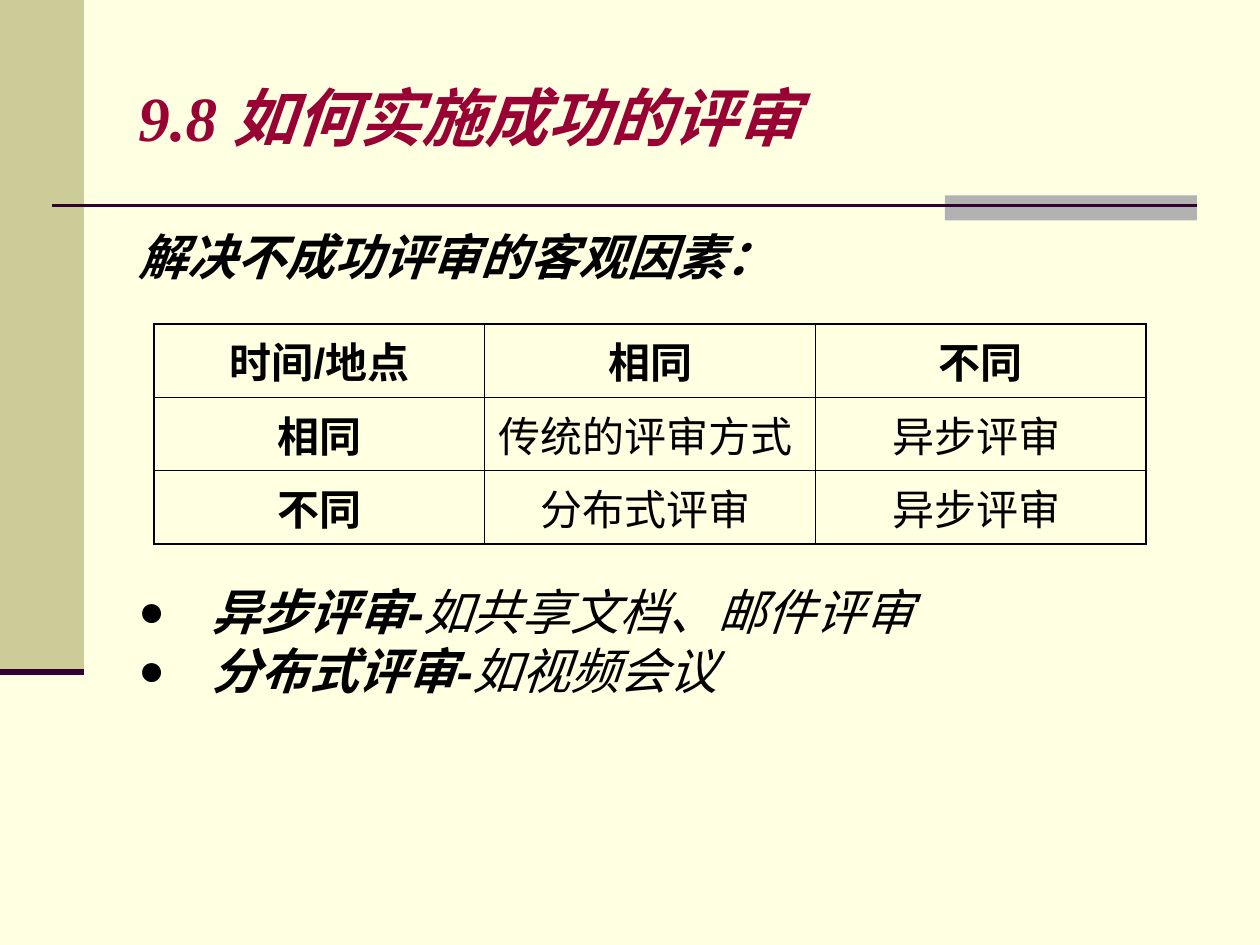
import pptx
import pptx.util
import pptx.dml.color
import pptx.enum.shapes
import pptx.enum.text
import pptx.oxml
import pptx.oxml.ns

Pt = pptx.util.Pt
RGB = pptx.dml.color.RGBColor.from_string
SHAPE = pptx.enum.shapes.MSO_SHAPE
ANCHOR = pptx.enum.text.MSO_ANCHOR
NS = pptx.oxml.ns.nsdecls("a")

HUES = {"back": "FFFFE1", "band": "CCCC99", "tab": "B2B2B2",
        "rule": "330033", "title": "990033", "text": "000000"}


def write(para, text, size, bold, slant=False, hue="text", face="Arial"):
    """Add one formatted run to a paragraph."""
    run = para.add_run()
    run.text = text
    run.font.size = Pt(size)
    run.font.bold = bold
    run.font.italic = slant
    run.font.name = face
    run.font.color.rgb = RGB(HUES[hue])


def frame(left, top, width, height):
    """Add a wrapping text box and return its text frame."""
    body = slide.shapes.add_textbox(Pt(left), Pt(top), Pt(width), Pt(height)).text_frame
    body.word_wrap = True
    return body


deck = pptx.Presentation()
deck.slide_width, deck.slide_height = Pt(720), Pt(540)
slide = deck.slides.add_slide(deck.slide_layouts[6])
slide.background.fill.solid()
slide.background.fill.fore_color.rgb = RGB(HUES["back"])

# Side band, corner tab and rules
for hue, left, top, width, height in [("band", 0, 0, 48, 384),
                                      ("tab", 540, 111.6, 144, 14.4)]:
    block = slide.shapes.add_shape(SHAPE.RECTANGLE, Pt(left), Pt(top), Pt(width), Pt(height))
    block.shadow.inherit = False
    block.fill.solid()
    block.fill.fore_color.rgb = RGB(HUES[hue])
    block.line.fill.background()

for start, end, y, weight in [(30, 684, 117.6, 1.5), (0, 48, 384, 3.5)]:
    rule = slide.shapes.add_connector(
        pptx.enum.shapes.MSO_CONNECTOR.STRAIGHT, Pt(start), Pt(y), Pt(end), Pt(y))
    rule.line.color.rgb = RGB(HUES["rule"])
    rule.line.width = Pt(weight)
    rule._element.spPr.append(pptx.oxml.parse_xml(f"<a:effectLst {NS}/>"))

# Title and lead line
title = frame(72, 21.6, 612, 90)
title.vertical_anchor = ANCHOR.MIDDLE
write(title.paragraphs[0], "9.8 如何实施成功的评审", 36, True, True, "title", "Times New Roman")

lead = frame(72, 126, 605.5, 48)
write(lead.paragraphs[0], "解决不成功评审的客观因素：", 28, True, True)

# Table of review types
rows = [["时间/地点", "相同", "不同"],
        ["相同", "传统的评审方式 ", "异步评审 "],
        ["不同", "分布式评审 ", "异步评审 "]]
last = len(rows) - 1
table = slide.shapes.add_table(3, 3, Pt(88), Pt(185), Pt(567), Pt(126)).table
table.first_row = table.horz_banding = False
for r, row in enumerate(rows):
    table.rows[r].height = Pt(42)
    for c, text in enumerate(row):
        cell = table.cell(r, c)
        cell.vertical_anchor = ANCHOR.TOP
        para = cell.text_frame.paragraphs[0]
        para.alignment = pptx.enum.text.PP_ALIGN.CENTER
        write(para, text, 24, r == 0 or c == 0)
        props = cell._tc.get_or_add_tcPr()
        for side, outer in [("L", c == 0), ("R", c == last), ("T", r == 0), ("B", r == last)]:
            weight = Pt(1.08 if outer else 0.45)
            props.append(pptx.oxml.parse_xml(
                f'<a:ln{side} {NS} w="{weight}"><a:solidFill>'
                f'<a:srgbClr val="{HUES["text"]}"/></a:solidFill></a:ln{side}>'))
        cell.fill.background()

# Bulleted examples
notes = [("异步评审-", "如共享文档、邮件评审"), ("分布式评审-", "如视频会议")]
body = frame(72, 329, 605.5, 90)
for i, (name, note) in enumerate(notes):
    para = body.add_paragraph() if i else body.paragraphs[0]
    props = para._p.get_or_add_pPr()
    props.set("marL", str(Pt(42)))
    props.set("indent", str(-Pt(42)))
    for mark in (f'<a:buClr {NS}><a:srgbClr val="{HUES["text"]}"/></a:buClr>',
                 f'<a:buSzPct {NS} val="90000"/>',
                 f'<a:buFont {NS} typeface="Arial"/>',
                 f'<a:buChar {NS} char="●"/>'):
        props.append(pptx.oxml.parse_xml(mark))
    write(para, name, 28, True, True)
    write(para, note, 28, False, True)

deck.save("out.pptx")
